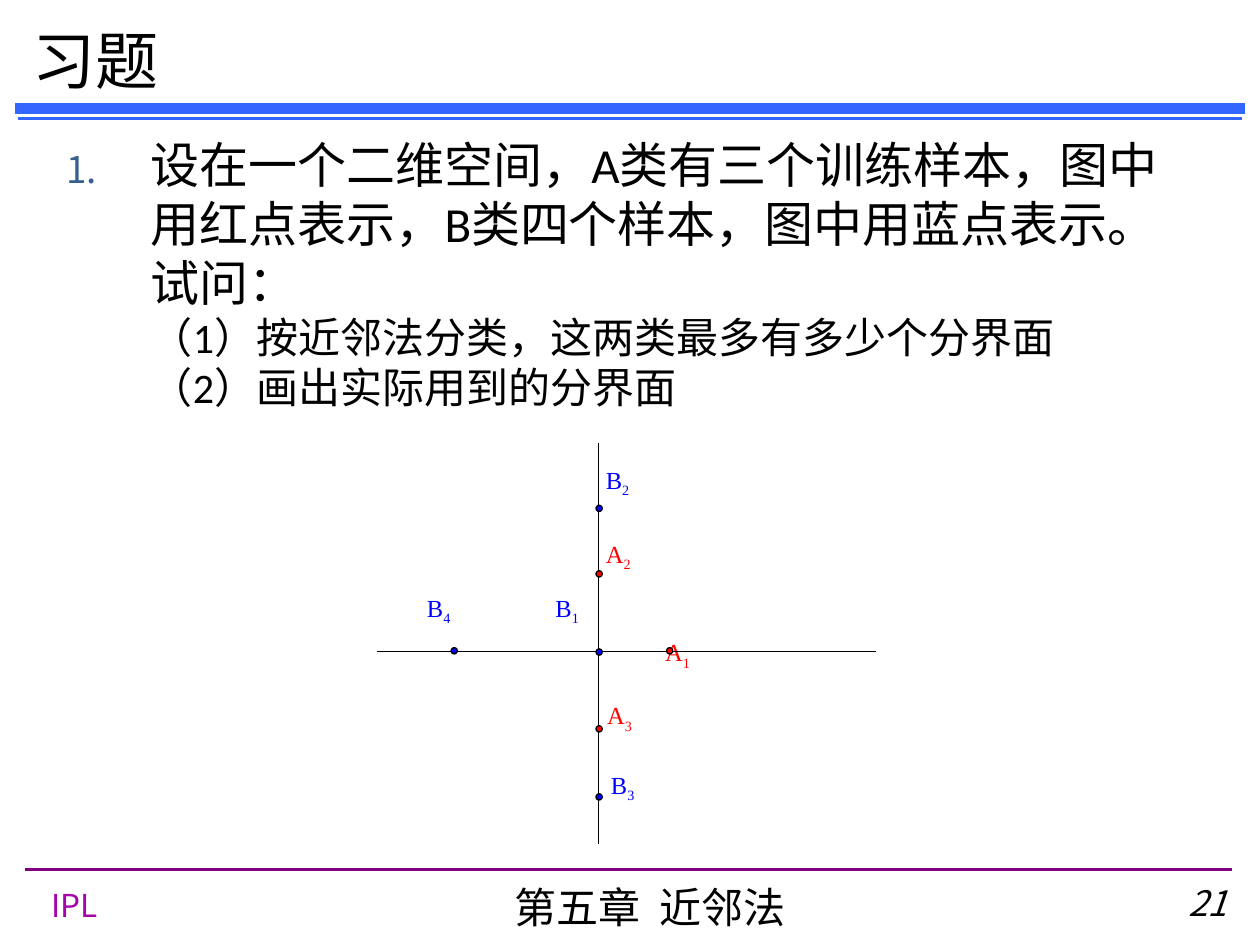
from dataclasses import dataclass, field

from lxml.etree import SubElement
from pptx import Presentation
from pptx.dml.color import RGBColor
from pptx.enum.shapes import MSO_CONNECTOR as Connector, MSO_SHAPE as Shape
from pptx.enum.text import MSO_ANCHOR as Anchor, PP_ALIGN as Align
from pptx.oxml.ns import qn
from pptx.util import Inches, Pt

BLACK = RGBColor(0x00, 0x00, 0x00)
BLUE = RGBColor(0x00, 0x00, 0xFF)
RED = RGBColor(0xFF, 0x00, 0x00)
RULE_BLUE = RGBColor(0x33, 0x66, 0xFF)
PURPLE = RGBColor(0x80, 0x00, 0x80)
VIOLET = RGBColor(0xA6, 0x03, 0xAB)
NUMBER_BLUE = RGBColor(0x37, 0x60, 0x92)

CJK = "Noto Sans CJK SC"
DOT_SIZE = 0.05


@dataclass
class Span:
    text: str
    size: float
    font: str = CJK
    color: RGBColor = BLACK
    formats: dict = field(default_factory=dict)
    baseline: int = 0


@dataclass
class Block:
    left: float
    top: float
    width: float
    height: float
    spans: list[Span]
    align: Align = Align.LEFT
    anchor: Anchor = Anchor.TOP


@dataclass
class Rule:
    start: tuple[float, float]
    end: tuple[float, float]
    color: RGBColor
    weight: float
    cap: str = "flat"


@dataclass
class Sample:
    group: str
    index: int
    label: tuple[float, float]
    dot: tuple[float, float]


GROUP_COLORS = {"A": RED, "B": BLUE}

RULES = [
    Rule((0.2, 6.9), (9.78, 6.9), PURPLE, 1.5),
    Rule((0.16, 0.94), (9.84, 0.94), RULE_BLUE, 2, "sq"),
    Rule((0.16, 0.86), (9.84, 0.86), RULE_BLUE, 6, "sq"),
]

AXES = [
    Rule((2.99, 5.17), (6.95, 5.17), BLACK, 0.74),
    Rule((4.75, 3.52), (4.75, 6.7), BLACK, 0.74),
]

BLOCKS = [
    Block(0.31, 6.98, 0.8, 0.39, [Span("IPL", 18, color=VIOLET)]),
    Block(3.44, 6.95, 3.44, 0.5, [Span("第五章  近邻法", 24)], Align.CENTER),
    Block(8.98, 6.95, 0.86, 0.51, [Span("21", 20, formats={"italic": True})], Align.RIGHT),
    Block(0.16, 0.16, 8.2, 0.62, [Span("习题", 36, "Calibri")], anchor=Anchor.MIDDLE),
]

EXERCISE = Block(0.43, 1.02, 9.14, 2.36, [
    Span("设在一个二维空间，A类有三个训练样本，图中用红点表示，"
         "B类四个样本，图中用蓝点表示。\n试问：\n", 28, "Calibri"),
    Span("（1）按近邻法分类，这两类最多有多少个分界面\n"
         "（2）画出实际用到的分界面", 24, "Calibri"),
])

SAMPLES = [
    Sample("B", 3, (4.75, 6.06), (4.73, 6.3)),
    Sample("B", 4, (3.29, 4.66), (3.58, 5.14)),
    Sample("B", 1, (4.31, 4.66), (4.73, 5.15)),
    Sample("B", 2, (4.71, 3.64), (4.73, 4.01)),
    Sample("A", 3, (4.72, 5.51), (4.73, 5.76)),
    Sample("A", 1, (5.18, 5.01), (5.29, 5.14)),
    Sample("A", 2, (4.71, 4.23), (4.73, 4.53)),
]


def add_span(para, span: Span) -> None:
    for position, line in enumerate(span.text.split("\n")):
        if position:
            para.add_line_break()
        if not line:
            continue
        run = para.add_run()
        run.text = line
        run.font.color.rgb = span.color
        formats = {"size": Pt(span.size), "name": span.font, **span.formats}
        for name, value in formats.items():
            setattr(run.font, name, value)
        properties = run.font._element
        if span.baseline:
            properties.set("baseline", str(span.baseline))
        SubElement(properties, qn("a:ea")).set("typeface", CJK)


def add_block(page, block: Block):
    box = page.shapes.add_textbox(Inches(block.left), Inches(block.top),
                                  Inches(block.width), Inches(block.height))
    frame = box.text_frame
    frame.word_wrap = True
    frame.vertical_anchor = block.anchor
    para = frame.paragraphs[0]
    para.alignment = block.align
    for span in block.spans:
        add_span(para, span)
    return para


def number_paragraph(para, indent: float) -> None:
    para.space_before = Pt(6)
    properties = para._p.get_or_add_pPr()
    properties.set("marL", str(Inches(indent)))
    properties.set("indent", str(-Inches(indent)))
    color = SubElement(properties, qn("a:buClr"))
    SubElement(color, qn("a:srgbClr")).set("val", str(NUMBER_BLUE))
    SubElement(properties, qn("a:buSzPct")).set("val", "75000")
    SubElement(properties, qn("a:buAutoNum")).set("type", "arabicPeriod")


def add_rule(page, rule: Rule) -> None:
    points = [Inches(value) for value in (*rule.start, *rule.end)]
    line = page.shapes.add_connector(Connector.STRAIGHT, *points)
    line.line.color.rgb = rule.color
    line.line.width = Pt(rule.weight)
    line.line._get_or_add_ln().set("cap", rule.cap)
    SubElement(line._element.spPr, qn("a:effectLst"))


def add_label(page, sample: Sample) -> None:
    color = GROUP_COLORS[sample.group]
    spans = [Span(sample.group, 14, "Times New Roman", color),
             Span(str(sample.index), 14, "Times New Roman", color, baseline=-25000)]
    add_block(page, Block(*sample.label, 0.59, 0.51, spans, Align.JUSTIFY))


def add_dot(page, sample: Sample) -> None:
    left, top = sample.dot
    dot = page.shapes.add_shape(Shape.OVAL, Inches(left), Inches(top),
                                Inches(DOT_SIZE), Inches(DOT_SIZE))
    dot.shadow.inherit = False
    dot.fill.solid()
    dot.fill.fore_color.rgb = GROUP_COLORS[sample.group]
    dot.line.color.rgb = BLACK
    dot.line.width = Pt(0.74)


def build() -> None:
    deck = Presentation()
    deck.slide_width, deck.slide_height = Inches(10), Inches(7.5)
    page = deck.slides.add_slide(deck.slide_layouts[6])
    for rule in RULES:
        add_rule(page, rule)
    for block in BLOCKS:
        add_block(page, block)
    number_paragraph(add_block(page, EXERCISE), 0.67)
    for sample in SAMPLES:
        add_label(page, sample)
    for axis in AXES:
        add_rule(page, axis)
    for sample in SAMPLES:
        add_dot(page, sample)
    deck.save("out.pptx")


build()
